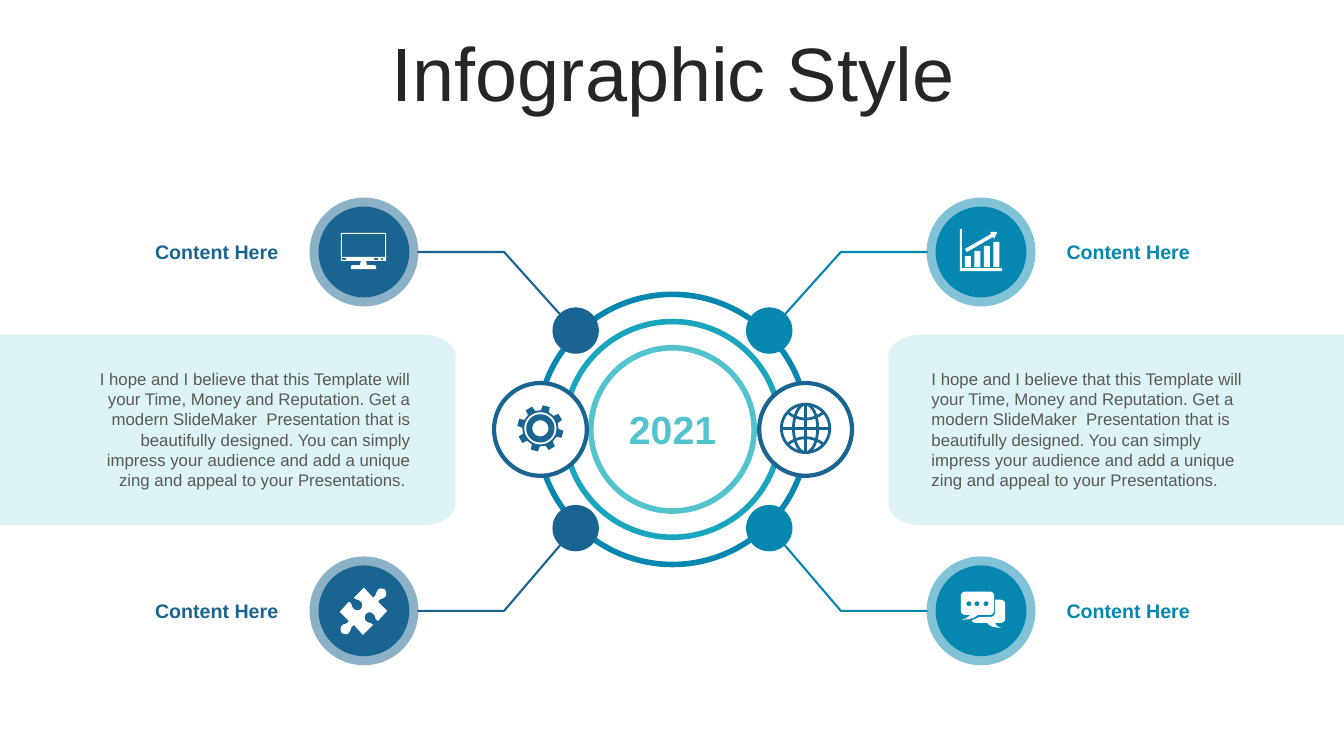
import math
import pptx
import pptx.util
import pptx.dml.color
import pptx.enum.shapes
import pptx.enum.text
import pptx.oxml.ns
from lxml import etree

Inches = pptx.util.Inches
Pt = pptx.util.Pt
ALIGN = pptx.enum.text.PP_ALIGN
WIDE, HIGH = 13.33, 7.5
NAVY, TEAL, AQUA, MINT = "196491", "0587AF", "19A5BE", "53C3CD"
PALE, WHITE, INK, GREY = "DDF3F5", "FFFFFF", "262626", "595959"
MID = (6.67, 4.26)
ROWS = (2.5, 6.06)
BLURB = ("I hope and I believe that this Template will your Time, Money and "
         "Reputation. Get a modern SlideMaker  Presentation that is beautifully "
         "designed. You can simply impress your audience and add a unique zing "
         "and appeal to your Presentations.")


def tint(part, color):
    part.solid()
    part.fore_color.rgb = pptx.dml.color.RGBColor.from_string(color)


def style(shape, fill=None, line=None, width=1.5, alpha=None):
    shape.shadow.inherit = False
    if fill:
        tint(shape.fill, fill)
    else:
        shape.fill.background()
    if line:
        tint(shape.line.fill, line)
        shape.line.width = Pt(width)
    else:
        shape.line.fill.background()
    if alpha:
        clr = shape.fill._xPr.find(".//" + pptx.oxml.ns.qn("a:srgbClr"))
        etree.SubElement(clr, pptx.oxml.ns.qn("a:alpha"), val=str(alpha * 1000))


def disc(slide, x, y, r, **look):
    """Add a circle round the centre x, y."""
    oval = pptx.enum.shapes.MSO_SHAPE.OVAL
    shape = slide.shapes.add_shape(
        oval, Inches(x - r), Inches(y - r), Inches(2 * r), Inches(2 * r))
    style(shape, **look)


def draw(slide, loops, close=True, **look):
    """Add one freeform made of several point lists."""
    loops = [[(Inches(x), Inches(y)) for x, y in loop] for loop in loops]
    form = slide.shapes.build_freeform(*loops[0][0], scale=1.0)
    for i, loop in enumerate(loops):
        if i:
            form.move_to(*loop[0])
        form.add_line_segments(loop[1:], close=close)
    style(form.convert_to_shape(), **look)


def write(frame, text, size, color, align, bold=False, middle=True):
    anchor = pptx.enum.text.MSO_ANCHOR
    frame.word_wrap = True
    frame.vertical_anchor = anchor.MIDDLE if middle else anchor.TOP
    para = frame.paragraphs[0]
    para.alignment = align
    run = para.add_run()
    run.text = text
    run.font.name = "Arial"
    run.font.size = Pt(size)
    run.font.bold = bold
    tint(run.font.fill, color)
    return para


def label(slide, box, *args, **opts):
    frame = slide.shapes.add_textbox(*map(Inches, box)).text_frame
    write(frame, *args, **opts)


def rect(x, y, w, h):
    return [(x, y), (x + w, y), (x + w, y + h), (x, y + h)]


def ring(x, y, rx, ry=None, count=48):
    turns = [math.tau * i / count for i in range(count)]
    return [(x + rx * math.cos(t), y + (ry or rx) * math.sin(t)) for t in turns]


def trace(start, *steps):
    """Turn points (2 numbers) and cubic curves (6 numbers) into a point list."""
    pts = [start]
    for step in steps:
        if len(step) == 2:
            pts.append(step)
            continue
        knots = [pts[-1], step[:2], step[2:4], step[4:]]
        for i in range(1, 9):
            t = i / 8
            parts = ((1 - t) ** 3, 3 * t * (1 - t) ** 2, 3 * t * t * (1 - t), t ** 3)
            pts.append(tuple(sum(p * k[a] for p, k in zip(parts, knots)) for a in (0, 1)))
    return pts


def screen(slide):
    lamps = [rect(x, 2.56, w, 0.02) for x, w in ((3.39, 0.04), (3.71, 0.04), (3.78, 0.02))]
    stand = trace((3.58, 2.59), (3.63, 2.59), (3.64, 2.63), (3.71, 2.63),
                  (3.72, 2.63, 3.73, 2.64, 3.73, 2.65), (3.73, 2.67), (3.48, 2.67),
                  (3.48, 2.65), (3.48, 2.64, 3.49, 2.63, 3.5, 2.63), (3.57, 2.63))
    draw(slide, [rect(3.38, 2.31, 0.45, 0.28), rect(3.39, 2.32, 0.43, 0.23),
                 *lamps, stand], fill=WHITE)


def graph(slide):
    tops = (2.54, 2.49, 2.44, 2.4)
    bars = [rect(9.57 + 0.094 * i, y, 0.06, 2.65 - y) for i, y in enumerate(tops)]
    arrow = [(9.82, 2.3), (9.89, 2.3), (9.86, 2.37), (9.85, 2.35),
             (9.59, 2.5), (9.57, 2.47), (9.83, 2.32)]
    axes = [(9.52, 2.27), (9.54, 2.27), (9.54, 2.66), (9.94, 2.66),
            (9.94, 2.69), (9.52, 2.69)]
    draw(slide, [*bars, arrow, axes], fill=WHITE)


def puzzle(slide):
    half = trace((3.82, 5.85), (3.83, 5.87, 3.84, 5.9, 3.82, 5.92),
                 (3.8, 5.95, 3.77, 5.93, 3.75, 5.97), (3.84, 6.06), (3.75, 6.16),
                 (3.71, 6.14, 3.73, 6.11, 3.7, 6.09), (3.68, 6.07, 3.65, 6.07, 3.63, 6.09),
                 (3.62, 6.1, 3.61, 6.14, 3.63, 6.16), (3.66, 6.19, 3.67, 6.17, 3.7, 6.2),
                 (3.6, 6.3), (3.51, 6.2), (3.47, 6.23, 3.49, 6.24, 3.46, 6.28),
                 (3.44, 6.3, 3.41, 6.29, 3.39, 6.28))
    draw(slide, [half + [(7.21 - x, 12.13 - y) for x, y in half]], fill=WHITE)


def chat(slide):
    dots = [ring(x, 5.99, 0.025, count=16) for x in (9.61, 9.69, 9.78)]
    back = trace((9.87, 5.95), (9.92, 5.95), (9.95, 5.95, 9.97, 5.97, 9.97, 5.99),
                 (9.97, 6.14), (9.97, 6.16, 9.95, 6.18, 9.92, 6.18), (9.87, 6.18),
                 (9.88, 6.2, 9.88, 6.21, 9.93, 6.23), (9.84, 6.22, 9.83, 6.22, 9.79, 6.18),
                 (9.68, 6.18), (9.66, 6.18, 9.64, 6.17, 9.64, 6.15),
                 (9.66, 6.15, 9.69, 6.13, 9.72, 6.12), (9.83, 6.12),
                 (9.85, 6.12, 9.87, 6.1, 9.87, 6.07))
    front = trace((9.57, 5.87), (9.82, 5.87), (9.84, 5.87, 9.86, 5.89, 9.86, 5.91),
                  (9.86, 6.06), (9.86, 6.08, 9.84, 6.1, 9.82, 6.1), (9.7, 6.1),
                  (9.65, 6.14, 9.63, 6.14, 9.54, 6.15), (9.59, 6.13, 9.6, 6.13, 9.62, 6.1),
                  (9.57, 6.1), (9.55, 6.1, 9.53, 6.08, 9.53, 6.06), (9.53, 5.91),
                  (9.53, 5.89, 9.55, 5.87, 9.57, 5.87))
    draw(slide, [*dots, back, front], fill=WHITE)


def gear(slide, x, y):
    teeth = []
    for i in range(8):
        for turn, r in ((-13, 0.18), (-9, 0.23), (9, 0.23), (13, 0.18)):
            t = math.radians(45 * i + 15 + turn)
            teeth.append((x + r * math.cos(t), y + r * math.sin(t)))
    draw(slide, [teeth] + [ring(x, y, r) for r in (0.16, 0.14, 0.08)], fill=NAVY)


def globe(slide, x, y):
    r = 0.24
    loops = [ring(x, y, r), ring(x, y, r / 2, r)]
    draw(slide, [loop + loop[:1] for loop in loops] + [
        [(x - r, y), (x + r, y)], [(x, y - r), (x, y + r)],
        *[trace((x - 0.18, y + s * 0.16),
                (x - 0.07, y + s * 0.07, x + 0.07, y + s * 0.07, x + 0.18, y + s * 0.16))
          for s in (-1, 1)]], close=False, line=NAVY, width=2)


def side(slide, sign, color):
    """Add the two badges of one side, with their lines, nodes and labels."""
    def at(gap):
        return MID[0] + sign * gap

    for y, s in zip(ROWS, (-1, 1)):
        node = MID[1] + s * 0.98
        draw(slide, [[(at(0.97), node), (at(1.67), y), (at(2.53), y)]],
             close=False, line=color)
        disc(slide, at(0.96), node, 0.23, fill=color)
        disc(slide, at(3.06), y, 0.54, fill=color, alpha=50)
        disc(slide, at(3.06), y, 0.45, fill=color)
        label(slide, (at(4.55) - 0.74, y - 0.17, 1.48, 0.34), "Content Here", 14, color,
              ALIGN.LEFT if sign > 0 else ALIGN.RIGHT, bold=True)


def panels(slide):
    right = trace((9.13, 3.32), (WIDE, 3.32), (WIDE, 5.21), (9.13, 5.21),
                  (8.95, 5.21, 8.81, 5.11, 8.81, 4.99), (8.81, 3.54),
                  (8.81, 3.42, 8.95, 3.32, 9.13, 3.32))
    for loop in (right, [(WIDE - x, y) for x, y in right]):
        draw(slide, [loop], fill=PALE)
    label(slide, (0.77, 3.61, 3.4, 1.31), BLURB + " ", 12, GREY, ALIGN.RIGHT, middle=False)
    label(slide, (9.14, 3.61, 3.49, 1.31), BLURB, 12, GREY, ALIGN.LEFT, middle=False)


def main():
    deck = pptx.Presentation()
    deck.slide_width, deck.slide_height = Inches(WIDE), Inches(HIGH)
    slide = deck.slides.add_slide(deck.slide_layouts[5])
    title = slide.shapes.title
    title.left, title.top, title.width, title.height = map(Inches, (0.35, 0.37, 12.66, 0.79))
    para = write(title.text_frame, "Infographic Style", 54, INK, ALIGN.CENTER)
    para.line_spacing = 0.9
    para.space_before = Pt(10)
    for r, color in ((1.34, TEAL), (1.07, AQUA), (0.81, MINT)):
        disc(slide, *MID, r, line=color, width=4)
    side(slide, -1, NAVY)
    side(slide, 1, TEAL)
    for x, icon in ((5.36, gear), (7.99, globe)):
        disc(slide, x, MID[1], 0.46, fill=WHITE, line=NAVY, width=3)
        icon(slide, x, MID[1] - 0.01)
    panels(slide)
    label(slide, (5.93, 3.97, 1.48, 0.57), "2021", 28, MINT, ALIGN.CENTER, bold=True)
    for icon in (screen, graph, puzzle, chat):
        icon(slide)
    deck.save("out.pptx")


if __name__ == "__main__":
    main()
